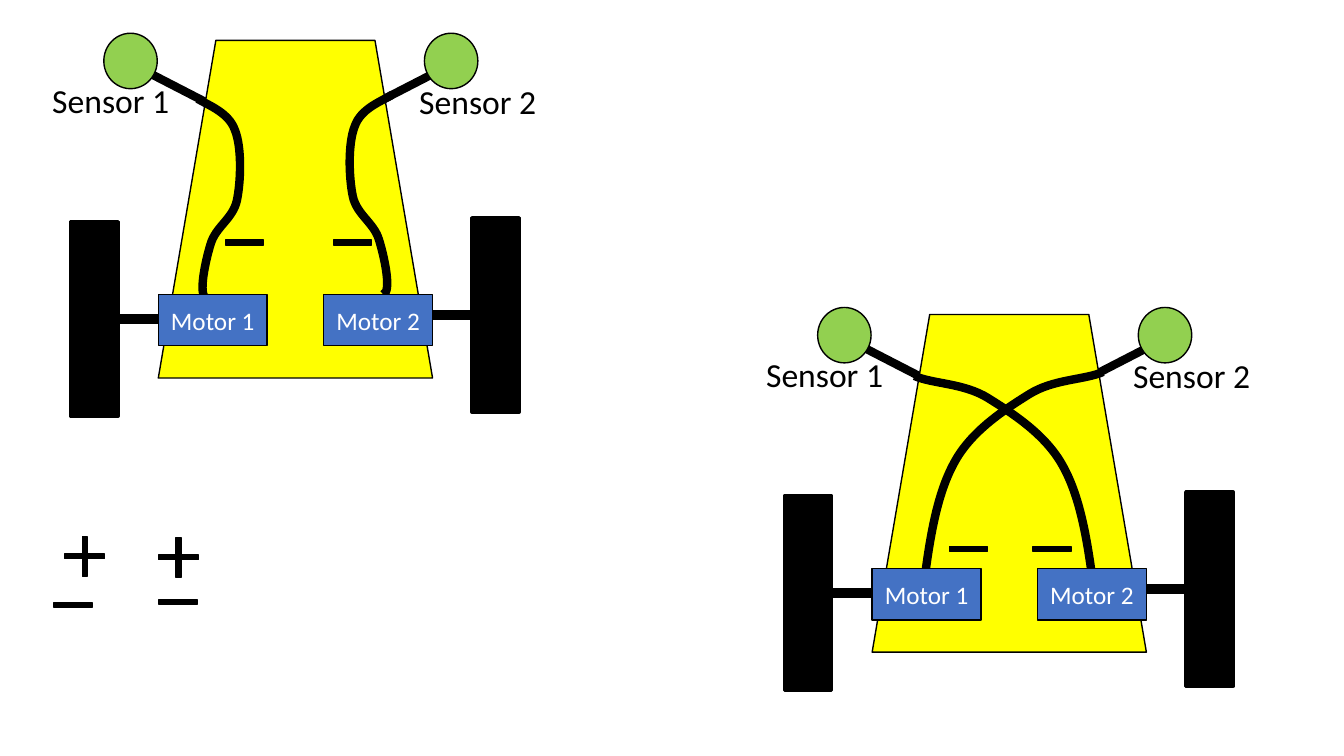
from lxml.etree import SubElement
from pptx import Presentation
from pptx.dml.color import RGBColor
from pptx.enum.dml import MSO_PATTERN
from pptx.enum.shapes import MSO_CONNECTOR, MSO_SHAPE
from pptx.enum.text import MSO_ANCHOR, MSO_AUTO_SIZE, PP_ALIGN
from pptx.oxml.ns import qn
from pptx.util import Inches, Pt

COLORS = {
    "black": "000000",
    "white": "FFFFFF",
    "body": "FFFF00",
    "sensor": "92D050",
    "motor": "4472C4",
}
MIRROR = 5.01  # a left x and its right twin add up to this
RISE = 0.04  # right wires start this much higher

# Left wires: a start point, then three points for each curve
STRAIGHT = [(1.54, 0.66),
            (1.66, 0.73), (1.85, 0.80), (1.91, 0.97),
            (1.98, 1.14), (1.97, 1.48), (1.93, 1.67),
            (1.89, 1.85), (1.72, 1.93), (1.67, 2.10),
            (1.62, 2.26), (1.54, 2.62), (1.63, 2.64)]
CROSSED = [(1.57, 0.69),
           (1.75, 0.77), (2.06, 0.76), (2.30, 0.91),
           (2.54, 1.06), (2.87, 1.27), (3.04, 1.58),
           (3.22, 1.90), (3.29, 2.35), (3.35, 2.82)]


def color(name):
    return RGBColor.from_string(COLORS[name])


def edge(shape, width):
    shape.line.color.rgb = color("black")
    shape.line.width = Pt(width)


def block(slide, kind, x, y, w, h, fill="black", adjust=None):
    shape = slide.shapes.add_shape(kind, Inches(x), Inches(y), Inches(w), Inches(h))
    shape.shadow.inherit = False
    shape.fill.solid()
    shape.fill.fore_color.rgb = color(fill)
    edge(shape, 1)
    if adjust is not None:
        shape.adjustments[0] = adjust
    return shape


def write(shape, text, size=24, ink="black", align=PP_ALIGN.LEFT,
          anchor=MSO_ANCHOR.TOP, wrap=True):
    frame = shape.text_frame
    frame.word_wrap = wrap
    frame.vertical_anchor = anchor
    if not wrap:
        frame.auto_size = MSO_AUTO_SIZE.SHAPE_TO_FIT_TEXT
    para = frame.paragraphs[0]
    para.alignment = align
    run = para.add_run()
    run.text = text
    run.font.name = "Calibri"
    run.font.size = Pt(size)
    run.font.color.rgb = color(ink)


def rod(slide, x1, y1, x2, y2):
    line = slide.shapes.add_connector(
        MSO_CONNECTOR.STRAIGHT, Inches(x1), Inches(y1), Inches(x2), Inches(y2))
    edge(line, 6)
    SubElement(line.element.spPr, qn("a:effectLst"))


def wire(slide, points):
    spots = [(Inches(x), Inches(y)) for x, y in points]
    pen = slide.shapes.build_freeform(*spots[0], scale=1.0)
    pen.add_line_segments(spots[1:], close=False)
    shape = pen.convert_to_shape()
    shape.shadow.inherit = False
    shape.fill.background()
    edge(shape, 6)
    # Turn each three segments into one cubic curve
    steps = shape.element.xpath(".//a:lnTo")
    route = steps[0].getparent()
    for i in range(0, len(steps), 3):
        curve = SubElement(route, qn("a:cubicBezTo"))
        for step in steps[i:i + 3]:
            curve.append(step[0])
            route.remove(step)


def minus(slide, x, y):
    block(slide, MSO_SHAPE.MATH_MINUS, x, y, 0.51, 0.21)


def plus(slide, x, y):
    block(slide, MSO_SHAPE.MATH_PLUS, x, y, 0.54, 0.54, adjust=0.089)


def car(slide, left, top, route, signs):
    # Sensor rods and body
    rod(slide, left + 1.75, top + 0.76, left + 1.09, top + 0.42)
    rod(slide, left + 3.86, top + 0.42, left + 3.2, top + 0.76)
    block(slide, MSO_SHAPE.TRAPEZOID, left + 1.15, top + 0.08, 2.72, 3.35,
          "body", adjust=0.21)

    # Axles and wheels
    for axle, wheel, y in ((0.76, 0.28, 1.88), (3.86, 4.26, 1.84)):
        block(slide, MSO_SHAPE.RECTANGLE, left + axle, top + y + 0.92, 0.39, 0.09)
        tyre = block(slide, MSO_SHAPE.RECTANGLE, left + wheel, top + y, 0.47, 1.93)
        tyre.fill.patterned()
        tyre.fill.pattern = MSO_PATTERN.DARK_HORIZONTAL
        tyre.fill.fore_color.rgb = color("black")
        tyre.fill.back_color.rgb = color("white")
        edge(tyre, 2.5)

    # Sensors and their labels
    for n, x, name, y in ((1, 0.61, 0, 0.42), (2, 3.79, 3.64, 0.43)):
        block(slide, MSO_SHAPE.OVAL, left + x, top + 0.01, 0.53, 0.55, "sensor")
        label = slide.shapes.add_textbox(
            Inches(left + name), Inches(top + y), Inches(1.37), Inches(0.5))
        write(label, f"Sensor {n}", wrap=False)

    # Wires, the right one mirrored
    wire(slide, [(left + x, top + y) for x, y in route])
    wire(slide, [(left + MIRROR - x, top + y - RISE) for x, y in route])

    # Motors
    for n, x in ((1, 1.15), (2, 2.79)):
        motor = block(slide, MSO_SHAPE.RECTANGLE, left + x, top + 2.6,
                      1.08, 0.51, "motor")
        write(motor, f"Motor {n}", size=18, ink="white",
              align=PP_ALIGN.CENTER, anchor=MSO_ANCHOR.MIDDLE)

    # Signs of the wires
    for x, y in signs:
        minus(slide, left + x, top + y)


def spare(slide, left, top):
    # Loose signs below the first car
    plus(slide, left + 0.1, top)
    plus(slide, left + 1.03, top + 0.01)
    minus(slide, left, top + 0.65)
    minus(slide, left + 1.04, top + 0.62)


def main():
    deck = Presentation()
    deck.slide_width = Inches(13.33)
    deck.slide_height = Inches(7.5)
    slide = deck.slides.add_slide(deck.slide_layouts[6])
    car(slide, 0.42, 0.32, STRAIGHT, [(1.75, 1.98), (2.82, 1.98)])
    car(slide, 7.5, 3.04, CROSSED, [(1.85, 2.3), (2.68, 2.3)])
    spare(slide, 0.47, 5.25)
    deck.save("out.pptx")


if __name__ == "__main__":
    main()
